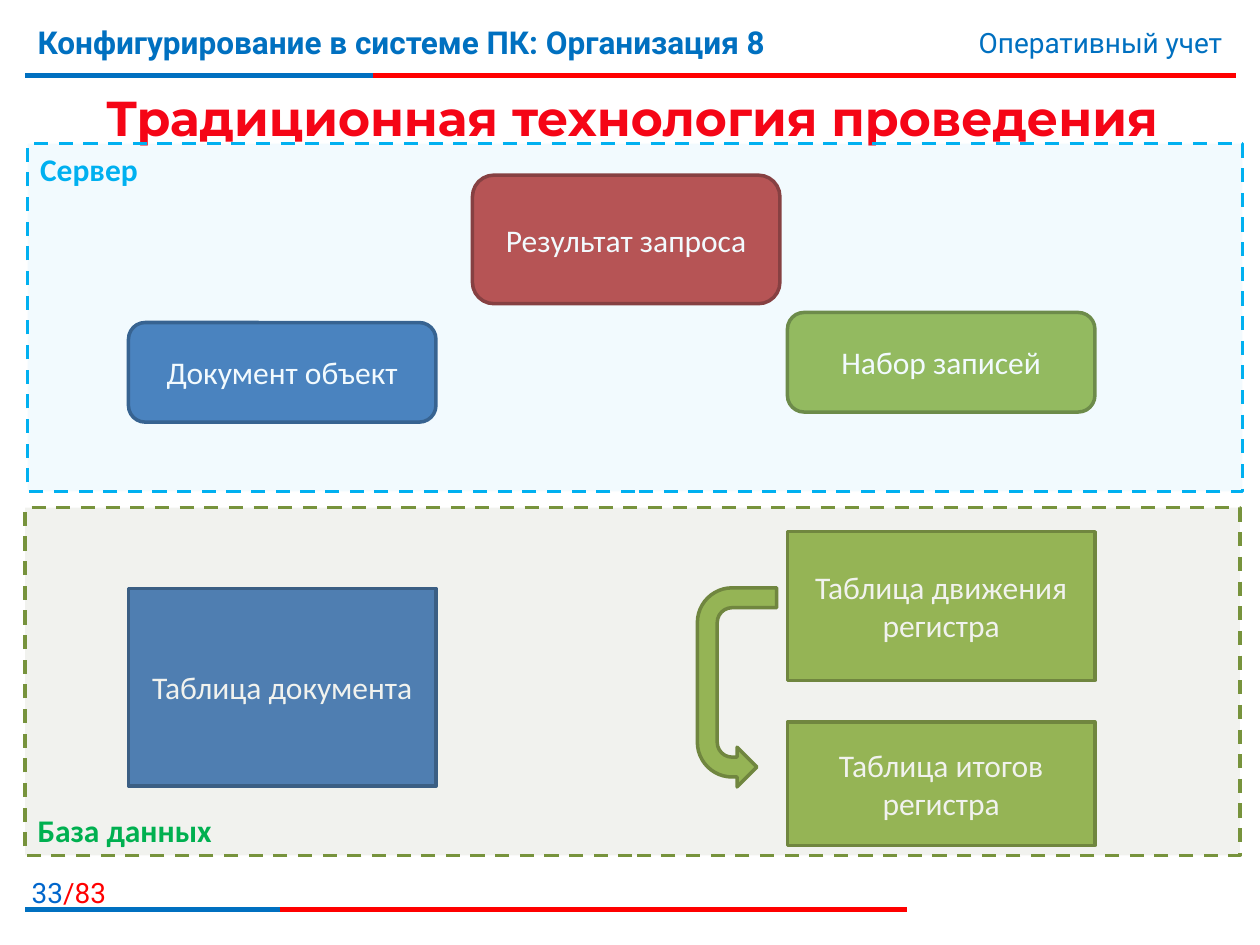
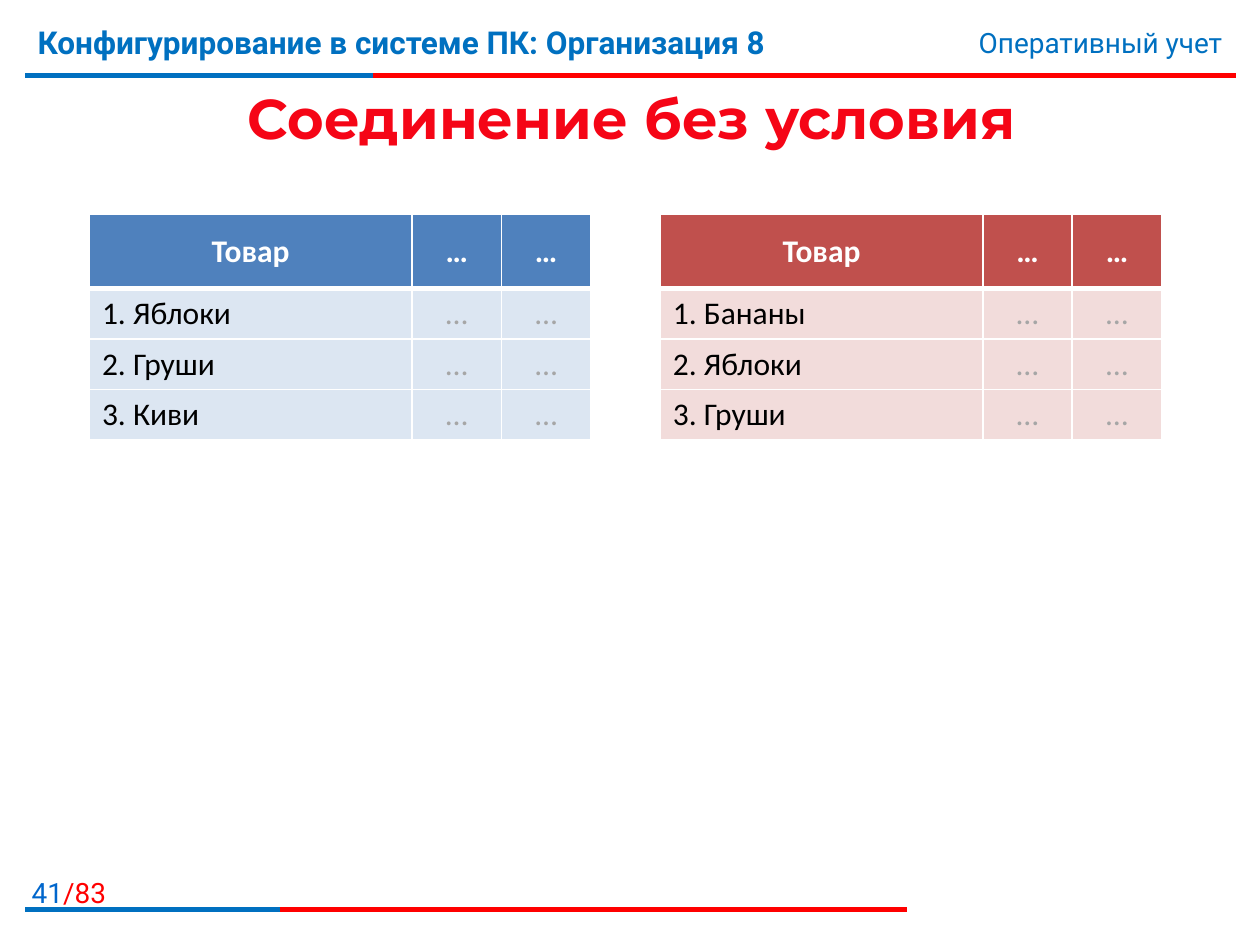
from lxml import etree
from pptx import Presentation
from pptx.dml.color import RGBColor
from pptx.enum import dml, shapes, text
from pptx.oxml import ns
from pptx.util import Inches, Pt

BLUE = RGBColor(0x00, 0x70, 0xC0)
NUMBER_BLUE = RGBColor(0x00, 0x66, 0xCC)
RED = RGBColor(0xFF, 0x00, 0x00)
TITLE_RED = RGBColor(0xF5, 0x05, 0x16)
WHITE = RGBColor(0xFF, 0xFF, 0xFF)
BLACK = RGBColor(0x00, 0x00, 0x00)
GREY = RGBColor(0xA6, 0xA6, 0xA6)
DOCUMENT = RGBColor(0x4F, 0x81, 0xBD)
DOCUMENT_LINE = RGBColor(0x3A, 0x5F, 0x8C)
DOCUMENT_PALE = RGBColor(0xDC, 0xE6, 0xF2)
QUERY = RGBColor(0xC0, 0x50, 0x4D)
QUERY_LINE = RGBColor(0x8E, 0x3B, 0x39)
QUERY_PALE = RGBColor(0xF2, 0xDC, 0xDB)
REGISTER = RGBColor(0x9B, 0xBB, 0x59)
REGISTER_LINE = RGBColor(0x73, 0x8A, 0x42)
SERVER = RGBColor(0x00, 0xB0, 0xF0)
DATABASE = RGBColor(0x4F, 0x62, 0x28)
DATABASE_LINE = RGBColor(0x77, 0x93, 0x3C)
DATABASE_TEXT = RGBColor(0x00, 0xB0, 0x50)

LEFT, CENTER, RIGHT = text.PP_ALIGN.LEFT, text.PP_ALIGN.CENTER, text.PP_ALIGN.RIGHT
TOP, MIDDLE, BOTTOM = text.MSO_ANCHOR.TOP, text.MSO_ANCHOR.MIDDLE, text.MSO_ANCHOR.BOTTOM
RECT, ROUNDED = shapes.MSO_SHAPE.RECTANGLE, shapes.MSO_SHAPE.ROUNDED_RECTANGLE

PAGE_COUNT = 83
BOX_WIDTH = 2.44
COLUMN_WIDTHS = (2.56, 0.71, 0.71)
ROW_HEIGHTS = (0.59, 0.4, 0.4, 0.4)


def inches(box):
    return [Inches(value) for value in box]


def write(frame, runs, align=LEFT, size=18, face="Calibri", bold=False):
    """Fill the first paragraph with (text, colour) runs."""
    para = frame.paragraphs[0]
    para.alignment = align
    for words, color in runs:
        span = para.add_run()
        span.text = words
        span.font.name = face
        span.font.size = Pt(size)
        span.font.bold = bold
        span.font.color.rgb = color


def add_label(page, box, runs, anchor=TOP, **style):
    frame = page.shapes.add_textbox(*inches(box)).text_frame
    frame.word_wrap = True
    frame.vertical_anchor = anchor
    write(frame, runs, **style)


def add_rule(page, top, blue_end, red_end):
    """Red rule whose first part is blue."""
    for end, color in ((red_end, RED), (blue_end, BLUE)):
        rule = page.shapes.add_connector(
            shapes.MSO_CONNECTOR.STRAIGHT, *inches((0.2, top, end, top)))
        rule.line.color.rgb = color
        rule.line.width = Pt(3)
        etree.SubElement(rule._element.spPr, ns.qn("a:effectLst"))


def add_page(deck, number, title, title_size):
    page = deck.slides.add_slide(deck.slide_layouts[6])
    add_rule(page, 0.6, 2.96, 9.81)
    add_rule(page, 7.22, 2.22, 7.2)
    add_label(page, (0, 6.9, 0.94, 0.32),
              [(str(number), NUMBER_BLUE), (f"/{PAGE_COUNT}", RED)],
              align=RIGHT, size=16, face="Roboto")
    add_label(page, (0.2, 0.13, 7.4, 0.62),
              [("Конфигурирование в системе ПК: Организация 8", BLUE)],
              face="Roboto", bold=True)
    add_label(page, (5.94, 0.15, 3.86, 0.37), [("Оперативный учет", BLUE)],
              align=RIGHT, size=16, face="Roboto")
    add_label(page, (0.21, 0.63, 9.61, 0.6), [(title, TITLE_RED)], MIDDLE,
              align=CENTER, size=title_size, face="Montserrat", bold=True)
    return page


def add_block(page, kind, box, fill, line):
    block = page.shapes.add_shape(kind, *inches(box))
    block.shadow.inherit = False
    block.fill.solid()
    block.fill.fore_color.rgb = fill
    block.line.color.rgb = line
    block.line.width = Pt(2)
    return block


def add_node(page, kind, box, name, fill, line):
    frame = add_block(page, kind, box, fill, line).text_frame
    frame.word_wrap = True
    frame.vertical_anchor = MIDDLE
    write(frame, [(name, WHITE)], align=CENTER)


def add_zone(page, box, name, fill, opacity, line, color, anchor):
    """Dashed translucent area laid over its nodes."""
    zone = add_block(page, RECT, box, fill, line)
    zone.line.dash_style = dml.MSO_LINE.DASH
    tint = zone._element.spPr.find(ns.qn("a:solidFill"))[0]
    etree.SubElement(tint, ns.qn("a:alpha"), val=str(opacity * 1000))
    zone.text_frame.word_wrap = True
    zone.text_frame.vertical_anchor = anchor
    write(zone.text_frame, [(name, color)], bold=True)


def add_server(page, left, top):
    nodes = (
        (0.8, 1.42, 0.79, "Документ объект", DOCUMENT, DOCUMENT_LINE),
        (3.53, 0.25, 1.02, "Результат запроса", QUERY, QUERY_LINE),
        (6.03, 1.34, 0.79, "Набор записей", REGISTER, REGISTER_LINE),
    )
    for x, y, height, *look in nodes:
        add_node(page, ROUNDED, (left + x, top + y, BOX_WIDTH, height), *look)
    add_zone(page, (left, top, 9.64, 2.76), "Сервер",
             SERVER, 5, SERVER, SERVER, TOP)


def add_database(page, left, top):
    nodes = (
        (0.82, 0.64, 1.57, "Таблица документа", DOCUMENT, DOCUMENT_LINE),
        (6.05, 0.19, 1.18, "Таблица движения регистра", REGISTER, REGISTER_LINE),
        (6.05, 1.7, 0.98, "Таблица итогов регистра", REGISTER, REGISTER_LINE),
    )
    for x, y, height, *look in nodes:
        add_node(page, RECT, (left + x, top + y, BOX_WIDTH, height), *look)
    arrow = add_block(page, shapes.MSO_SHAPE.U_TURN_ARROW,
                      (left + 4.86, top + 1.11, 1.58, 0.63), REGISTER, REGISTER_LINE)
    arrow.rotation = 90
    arrow._element.spPr.find(ns.qn("a:xfrm")).set("flipV", "1")
    add_zone(page, (left, top, 9.64, 2.76), "База данных",
             DATABASE, 8, DATABASE_LINE, DATABASE_TEXT, BOTTOM)


def set_borders(cell, top_width, bottom_width):
    properties = cell._tc.get_or_add_tcPr()
    widths = (("lnL", 1), ("lnR", 1), ("lnT", top_width), ("lnB", bottom_width))
    for place, (side, width) in enumerate(widths):
        border = etree.Element(ns.qn(f"a:{side}"), w=str(Pt(width)))
        fill = etree.SubElement(border, ns.qn("a:solidFill"))
        etree.SubElement(fill, ns.qn("a:srgbClr"), val=str(WHITE))
        properties.insert(place, border)


def add_goods_table(page, left, top, goods, head_fill, body_fill):
    box = (left, top, sum(COLUMN_WIDTHS), sum(ROW_HEIGHTS))
    table = page.shapes.add_table(
        len(ROW_HEIGHTS), len(COLUMN_WIDTHS), *inches(box)).table
    for column, width in zip(table.columns, COLUMN_WIDTHS):
        column.width = Inches(width)
    for row, height in zip(table.rows, ROW_HEIGHTS):
        row.height = Inches(height)
    names = ["Товар"] + [f"{i}. {name}" for i, name in enumerate(goods, 1)]
    for r, name in enumerate(names):
        head = r == 0
        for c, words in enumerate((name, "…", "…")):
            cell = table.cell(r, c)
            cell.vertical_anchor = MIDDLE
            cell.fill.solid()
            cell.fill.fore_color.rgb = head_fill if head else body_fill
            set_borders(cell, 3 if r == 1 else 1, 3 if head else 1)
            color = WHITE if head else GREY if c else BLACK
            write(cell.text_frame, [(words, color)],
                  align=CENTER if head or c else LEFT, bold=head)


def main():
    deck = Presentation()
    deck.slide_width, deck.slide_height = Inches(10), Inches(7.5)

    posting = add_page(deck, 33, "Традиционная технология проведения", 28)
    add_server(posting, 0.22, 1.14)
    add_database(posting, 0.2, 4.03)

    joining = add_page(deck, 41, "Соединение без условия", 32)
    add_goods_table(joining, 0.71, 1.7, ("Яблоки", "Груши", "Киви"),
                    DOCUMENT, DOCUMENT_PALE)
    add_goods_table(joining, 5.24, 1.7, ("Бананы", "Яблоки", "Груши"),
                    QUERY, QUERY_PALE)

    deck.save("out.pptx")


if __name__ == "__main__":
    main()
